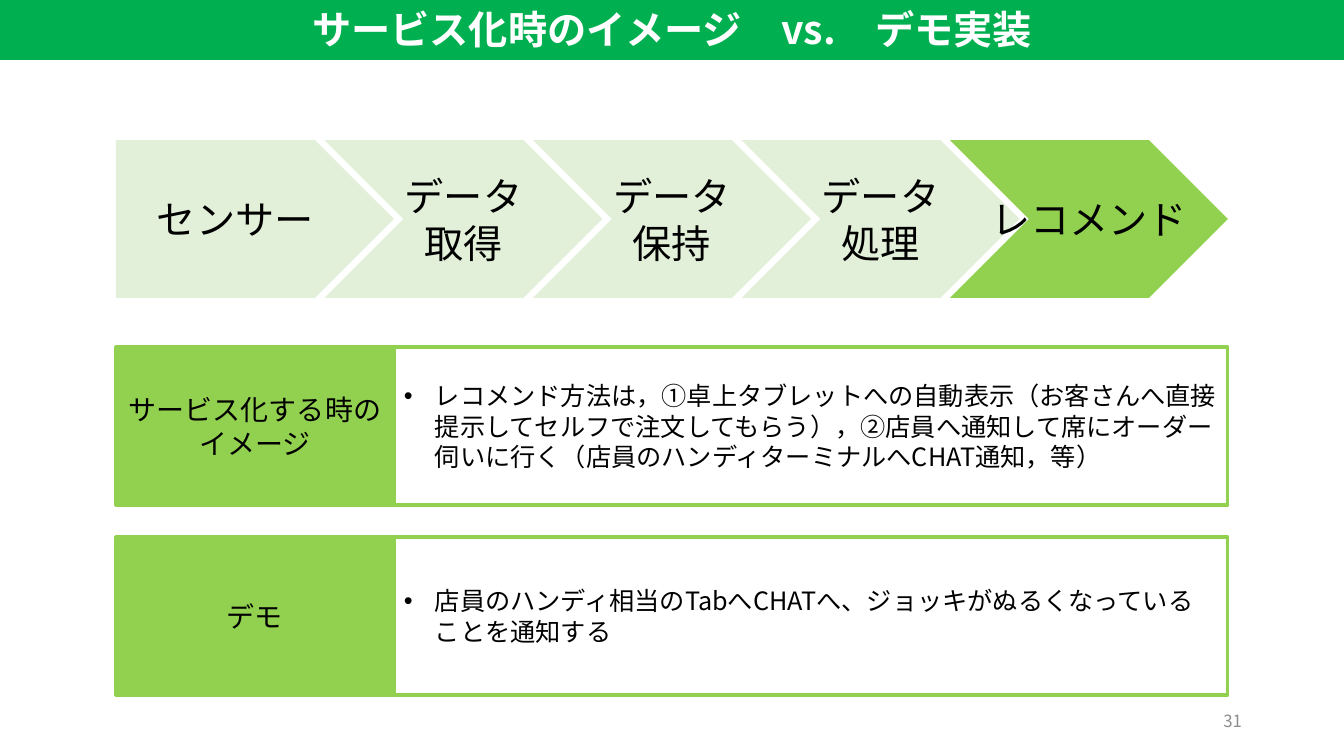
from lxml import etree
from pptx import Presentation
from pptx.dml.color import RGBColor
from pptx.enum.lang import MSO_LANGUAGE_ID
from pptx.enum.shapes import MSO_SHAPE
from pptx.enum.text import MSO_ANCHOR, PP_ALIGN
from pptx.oxml.ns import qn
from pptx.util import Emu, Pt

PENTAGON, CHEVRON, RECTANGLE = MSO_SHAPE.PENTAGON, MSO_SHAPE.CHEVRON, MSO_SHAPE.RECTANGLE
CENTER, LEFT, RIGHT = PP_ALIGN.CENTER, PP_ALIGN.LEFT, PP_ALIGN.RIGHT
MIDDLE = MSO_ANCHOR.MIDDLE
JAPANESE = MSO_LANGUAGE_ID.JAPANESE

FONT = "Noto Sans CJK JP"
COLORS = {
    "title": "00B050",
    "step": "E2F0D9",
    "accent": "92D050",
    "text": "000000",
    "white": "FFFFFF",
    "number": "8C8C8C",
}
STEPS = ["センサー", "データ\n取得", "データ\n保持", "データ\n処理", "レコメンド"]
PANELS = [
    (
        "サービス化する時の\nイメージ",
        "レコメンド方法は，①卓上タブレットへの自動表示（お客さんへ直接提示してセルフで注文してもらう），"
        "②店員へ通知して席にオーダー伺いに行く（店員のハンディターミナルへCHAT通知，等）",
    ),
    ("デモ", "店員のハンディ相当のTabへCHATへ、ジョッキがぬるくなっていることを通知する"),
]
LABEL_WIDTH = 278


def px(length):
    return Emu(round(length * 914400 / 100.8))


def color(name):
    return RGBColor.from_string(COLORS[name])


def write(shape, text, size, color_name="text", align=CENTER, bold=False, wrap=True):
    frame = shape.text_frame
    frame.text = text
    frame.word_wrap = wrap
    frame.vertical_anchor = MIDDLE
    for paragraph in frame.paragraphs:
        paragraph.alignment = align
        for run in paragraph.runs:
            font = run.font
            font.name = FONT
            font.size = Pt(size)
            font.bold = bold
            font.color.rgb = color(color_name)
            font.language_id = JAPANESE
            latin = run._r.get_or_add_rPr().find(qn("a:latin"))
            east_asian = etree.Element(qn("a:ea"), typeface=FONT)
            latin.addnext(east_asian)


def add_bullet(paragraph, indent):
    properties = paragraph._p.get_or_add_pPr()
    properties.set("marL", str(px(indent)))
    properties.set("indent", str(-px(indent)))
    etree.SubElement(properties, qn("a:buFont"), typeface="Arial")
    etree.SubElement(properties, qn("a:buChar"), char="•")


def add_block(slide, kind, box, fill=None, line=None):
    shape = slide.shapes.add_shape(kind, *map(px, box))
    shape.shadow.inherit = False
    if fill:
        shape.fill.solid()
        shape.fill.fore_color.rgb = color(fill)
    else:
        shape.fill.background()
    if line:
        shape.line.color.rgb = color(line)
        shape.line.width = Pt(2.25)
    else:
        shape.line.fill.background()
    return shape


def place_title(slide, left, top, width, height):
    title = slide.shapes.title
    title.left, title.top, title.width, title.height = map(px, (left, top, width, height))
    title.fill.solid()
    title.fill.fore_color.rgb = color("title")
    write(title, "サービス化時のイメージ　vs.　デモ実装", 28, "white", bold=True)


def add_process(slide, left, top, width, height):
    pitch = (width - LABEL_WIDTH) / (len(STEPS) - 1)
    for index, text in enumerate(STEPS):
        first, last = index == 0, index == len(STEPS) - 1
        box = (left + index * pitch, top, LABEL_WIDTH, height)
        step = add_block(slide, PENTAGON if first else CHEVRON, box, "accent" if last else "step")
        write(step, text, 28, wrap=first)


def add_panel(slide, left, top, width, height, heading, body):
    label = add_block(slide, RECTANGLE, (left, top, LABEL_WIDTH, height), "accent", "accent")
    write(label, heading, 20)
    body_box = (left + LABEL_WIDTH, top, width - LABEL_WIDTH, height)
    description = add_block(slide, RECTANGLE, body_box, line="accent")
    write(description, body, 18, align=LEFT)
    add_bullet(description.text_frame.paragraphs[0], 31)


def add_page_number(slide, left, top, width, height):
    number = slide.shapes.add_textbox(*map(px, (left, top, width, height)))
    write(number, "31", 12, "number", RIGHT)


def main():
    presentation = Presentation()
    presentation.slide_width, presentation.slide_height = px(1344), px(756)
    slide = presentation.slides.add_slide(presentation.slide_layouts[5])
    place_title(slide, -3, -3, 1350, 63)
    add_process(slide, 116, 140, 1112, 158)
    for index, (heading, body) in enumerate(PANELS):
        add_panel(slide, 116, 347 + index * 190, 1112, 158, heading, body)
    add_page_number(slide, 950, 701, 302, 40)
    presentation.save("out.pptx")


if __name__ == "__main__":
    main()
